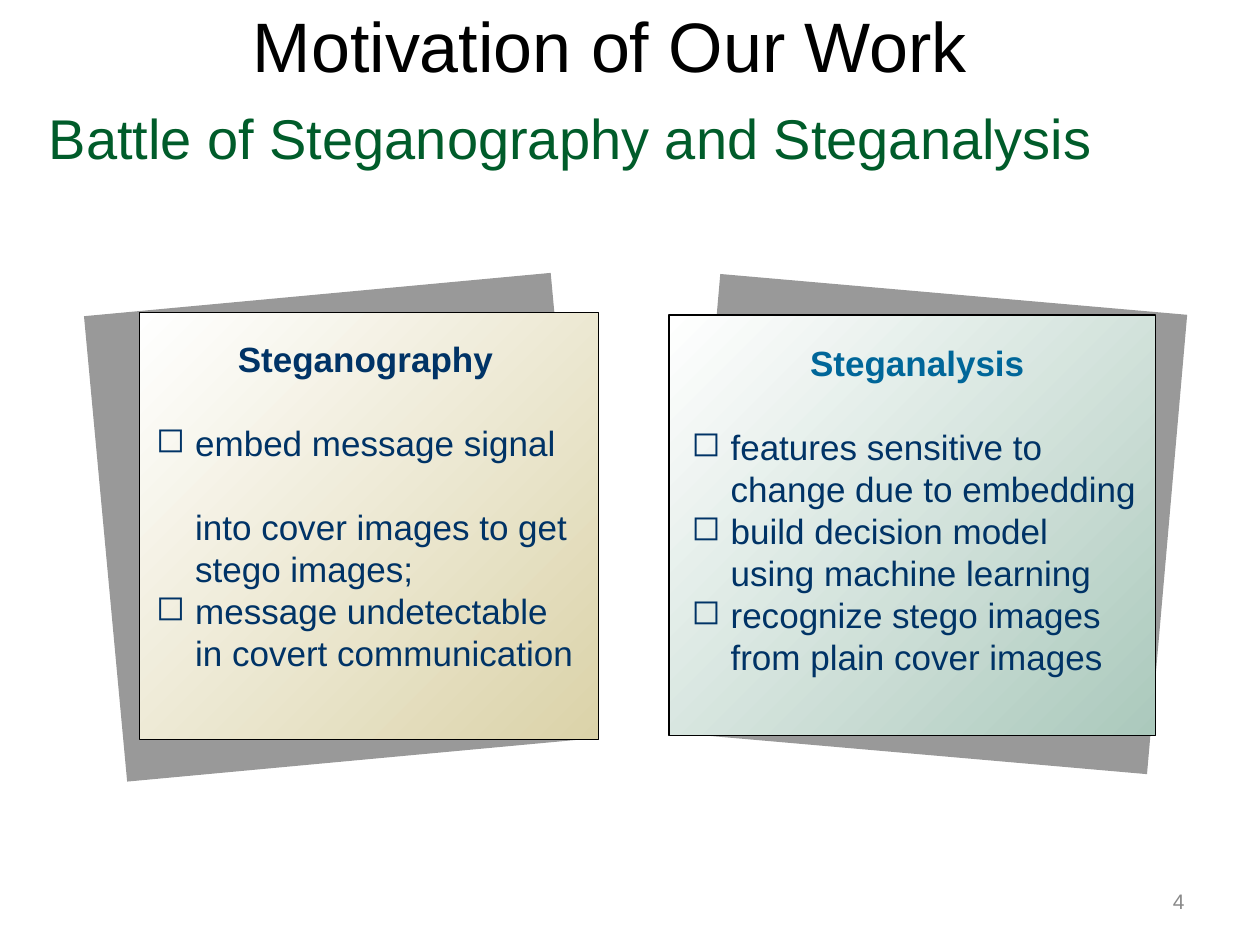
import pptx
import pptx.dml.color
import pptx.enum.shapes
import pptx.enum.text
import pptx.oxml.ns
import pptx.util
from lxml import etree

COLORS = {
    "black": "000000", "white": "FFFFFF", "navy": "003366", "blue": "006699",
    "green": "005C2A", "gray": "898989", "sand": "DBD3A9", "sage": "ABC9BC",
}
ALIGN = pptx.enum.text.PP_ALIGN
ANCHOR = pptx.enum.text.MSO_ANCHOR
COLUMNS, ROWS = 10, 7.5


def rgb(name):
    return pptx.dml.color.RGBColor.from_string(COLORS[name])


def write(p, text, size=20, color="navy", bold=False, align=ALIGN.LEFT,
          before=0, after=0, spacing=None):
    p.alignment = align
    p.space_before, p.space_after = pptx.util.Pt(before), pptx.util.Pt(after)
    if spacing:
        p.line_spacing = spacing
    r = p.add_run()
    r.text = text
    r.font.name, r.font.size, r.font.bold = "Arial", pptx.util.Pt(size), bold
    r.font.color.rgb = rgb(color)


class Deck:
    """Holds the style, the grid and the current slide."""

    line_height = pptx.util.Pt(24)
    indent = pptx.util.Inches(0.31)

    def __init__(self):
        self.prs = pptx.Presentation()
        self.prs.slide_width = pptx.util.Inches(10)
        self.prs.slide_height = pptx.util.Inches(7.5)
        self.s = self.prs.slides.add_slide(self.prs.slide_layouts[5])

    def place(self, left, top, width, height):
        """Turn grid columns and rows into slide lengths."""
        col, row = self.prs.slide_width / COLUMNS, self.prs.slide_height / ROWS
        return [int(n) for n in (left * col, top * row, width * col, height * row)]

    def title(self, text, at):
        sp = self.s.shapes.title
        sp.left, sp.top, sp.width, sp.height = self.place(*at)
        sp.text_frame.vertical_anchor = ANCHOR.MIDDLE
        write(sp.text_frame.paragraphs[0], text, size=40, color="black",
              align=ALIGN.CENTER)

    def text_box(self, at, shapes=None, anchor=ANCHOR.MIDDLE):
        shapes = shapes or self.s.shapes
        tf = shapes.add_textbox(*self.place(*at)).text_frame
        tf.word_wrap, tf.vertical_anchor = True, anchor
        return tf

    def label(self, text, at, **style):
        write(self.text_box(at).paragraphs[0], text, **style)

    def rect(self, shapes, at):
        sp = shapes.add_shape(pptx.enum.shapes.MSO_SHAPE.RECTANGLE, *self.place(*at))
        sp.shadow.inherit = False
        return sp

    def backdrop(self, shapes, at, rotation):
        sp = self.rect(shapes, at)
        sp.rotation = rotation
        sp.fill.solid()
        sp.fill.fore_color.rgb = rgb("black")
        sp.line.fill.background()
        clr = sp.fill._xPr.find(".//" + pptx.oxml.ns.qn("a:srgbClr"))
        etree.SubElement(clr, pptx.oxml.ns.qn("a:alpha"), val="40000")

    def panel(self, shapes, at, tint):
        sp = self.rect(shapes, at)
        sp.fill.gradient()
        sp.fill.gradient_angle = 315
        for stop, color, position in zip(sp.fill.gradient_stops, ("white", tint), (0, 1)):
            stop.color.rgb, stop.position = rgb(color), position
        sp.line.color.rgb = rgb("black")
        sp.line.width = pptx.util.Pt(0.75)

    def bullet(self, p):
        """Hang the paragraph behind a square bullet."""
        pPr = p._p.get_or_add_pPr()
        pPr.set("marL", str(self.indent))
        pPr.set("indent", str(-self.indent))
        clr = etree.SubElement(pPr, pptx.oxml.ns.qn("a:buClr"))
        etree.SubElement(clr, pptx.oxml.ns.qn("a:srgbClr"), val=COLORS["navy"])
        etree.SubElement(pPr, pptx.oxml.ns.qn("a:buChar"), char="◻")

    def card(self, heading, color, lines, tint, back, rotation, front, text):
        """Draw a tilted backdrop, a panel and its list of (kind, text) lines."""
        shapes = self.s.shapes.add_group_shape().shapes
        self.backdrop(shapes, back, rotation)
        self.panel(shapes, front, tint)
        tf = self.text_box(text, shapes, ANCHOR.TOP)
        write(tf.paragraphs[0], heading, color=color, bold=True,
              align=ALIGN.CENTER, after=24, spacing=self.line_height)
        for kind, line in lines:
            p = tf.add_paragraph()
            write(p, line, before=24 if kind == "gap" else 0, spacing=self.line_height)
            if kind == "bullet":
                self.bullet(p)
            else:
                p._p.get_or_add_pPr().set("marL", str(self.indent))


def main():
    deck = Deck()
    deck.card(
        "Steganography", "navy",
        [("bullet", "embed message signal"),
         ("gap", "into cover images to get"),
         ("more", "stego images;"),
         ("bullet", "message undetectable"),
         ("more", "in covert communication")],
        tint="sand", back=(0.83, 2.33, 3.72, 3.71), rotation=354.7,
        front=(1.11, 2.48, 3.64, 3.39), text=(1.14, 2.63, 3.52, 4.1))
    deck.card(
        "Steganalysis", "blue",
        [("bullet", "features sensitive to"),
         ("more", "change due to embedding"),
         ("bullet", "build decision model"),
         ("more", "using machine learning"),
         ("bullet", "recognize stego images"),
         ("more", "from plain cover images")],
        tint="sage", back=(5.55, 2.33, 3.72, 3.66), rotation=5,
        front=(5.31, 2.5, 3.86, 3.34), text=(5.39, 2.66, 3.78, 3.1))
    deck.title("Motivation of Our Work", (0.34, -0.27, 9, 1.25))
    deck.label("Battle of Steganography and Steganalysis", (0.29, 0.77, 9, 0.71),
               size=32, color="green", before=8, spacing=0.9)
    deck.label("4", (7.17, 6.95, 2.33, 0.4), size=12, color="gray", align=ALIGN.RIGHT)
    deck.prs.save("out.pptx")


if __name__ == "__main__":
    main()
